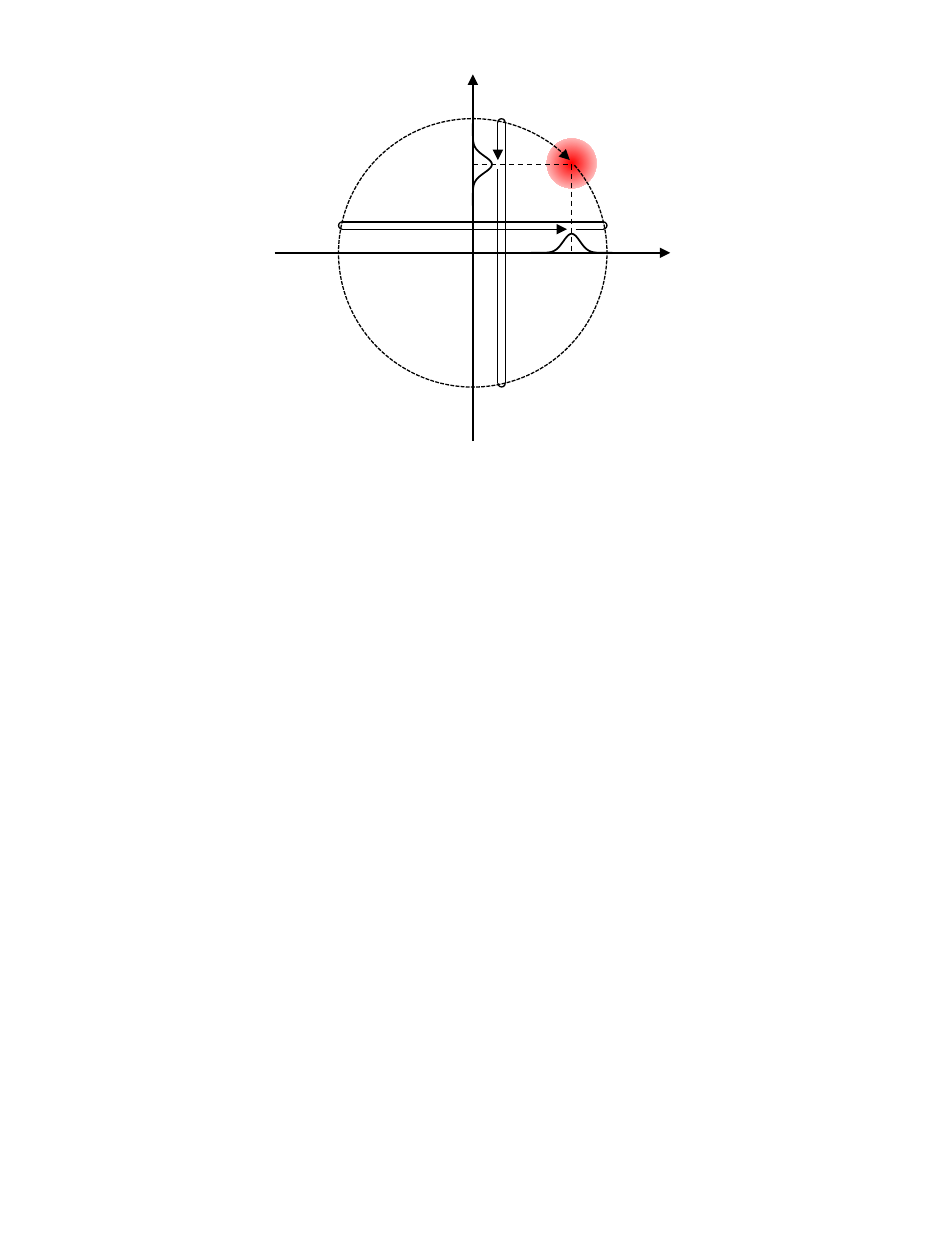
"""Draw a circular orbit with its projections on two axes."""
from math import exp

from lxml.etree import SubElement
from pptx import Presentation
from pptx.dml.color import RGBColor
from pptx.enum.dml import MSO_LINE as DASH
from pptx.enum.shapes import MSO_CONNECTOR as CONN, MSO_SHAPE as SHAPE
from pptx.oxml.ns import qn
from pptx.util import Pt

RGB = RGBColor.from_string
CX, CY, R = 270.2, 144.5, 76.7
SPOT_X, SPOT_Y = 326.7, 94.0
CAP = 4.2
TOP, LEFT = 126.8, 284.5
BOTTOM, RIGHT = TOP + CAP, LEFT + CAP
X1, X2 = CX - R + CAP / 2, CX + R - CAP / 2
Y1, Y2 = CY - R + CAP / 2, CY + R - CAP / 2


def outline(sp, arrow=False, **fmt):
    sp.line.fill.solid()
    sp.line.color.rgb = RGB("000000")
    for name, value in {"width": Pt(0.75), **fmt}.items():
        setattr(sp.line, name, value)
    if arrow:
        SubElement(sp.line._get_or_add_ln(), qn("a:tailEnd"), type="triangle")


def line(shapes, x1, y1, x2, y2, arrow=False, **fmt):
    sp = shapes.add_connector(CONN.STRAIGHT, Pt(x1), Pt(y1), Pt(x2), Pt(y2))
    outline(sp, arrow, **fmt)
    SubElement(sp._element.spPr, qn("a:effectLst"))


prs = Presentation()
prs.slide_width, prs.slide_height = Pt(540), Pt(720)
s = prs.slides.add_slide(prs.slide_layouts[6])

line(s.shapes, 157, CY, 383, CY, True, width=Pt(1))
line(s.shapes, CX, 252, CX, 42.5, True, width=Pt(1))

sp = s.shapes.add_shape(SHAPE.OVAL, Pt(SPOT_X - 14.2), Pt(SPOT_Y - 14.2 - 0.6),
                        Pt(28.4), Pt(28.4))
sp.shadow.inherit = False
sp.line.fill.background()
sp.fill.gradient()
for stop, position, colour in zip(sp.fill.gradient_stops, (0, 1), ("FF0000", "FFFFFF")):
    stop.position = position
    stop.color.rgb = RGB(colour)
grad = sp._element.spPr.find(qn("a:gradFill"))
grad.remove(grad.find(qn("a:lin")))
path = SubElement(grad, qn("a:path"), path="circle")
SubElement(path, qn("a:fillToRect"), l="50000", t="50000", r="50000", b="50000")

line(s.shapes, SPOT_X, SPOT_Y, SPOT_X, CY, dash_style=DASH.DASH)
line(s.shapes, CX, SPOT_Y, SPOT_X, SPOT_Y, dash_style=DASH.DASH)

sp = s.shapes.add_shape(SHAPE.ARC, Pt(CX - R), Pt(CY - R), Pt(2 * R), Pt(2 * R))
sp.shadow.inherit = False
sp.fill.background()
sp.adjustments[0], sp.adjustments[1] = 191.529, 189.765
outline(sp, True, dash_style=DASH.SQUARE_DOT)

bell = [(d / 2, 10.9 * exp(-((d / 2 / 4.75) ** 2) / 2)) for d in range(-47, 48)]
for curve in ([(SPOT_X + d, CY - h) for d, h in bell],
              [(CX + h, SPOT_Y + d) for d, h in bell]):
    points = [(Pt(x), Pt(y)) for x, y in curve]
    fb = s.shapes.build_freeform(*points[0])
    fb.add_line_segments(points[1:], close=False)
    sp = fb.convert_to_shape()
    sp.shadow.inherit = False
    sp.fill.background()
    outline(sp, width=Pt(1))

tracks = [
    ([(329, BOTTOM, X2, BOTTOM, False), (X1, TOP, X2, TOP, False),
      (X1, BOTTOM, 324, BOTTOM, True)],
     [(X2, TOP + CAP / 2, 0, False), (X1, TOP + CAP / 2, 0, True)]),
    ([(LEFT, Y1, LEFT, 91.5, True), (RIGHT, Y2, RIGHT, Y1, False),
      (LEFT, Y2, LEFT, 96.5, False)],
     [(LEFT + CAP / 2, Y1, 90, True), (LEFT + CAP / 2, Y2, 90, False)]),
]
for sides, caps in tracks:
    g = s.shapes.add_group_shape()
    for side in sides:
        line(g.shapes, *side)
    for x, y, rotation, flip in caps:
        sp = g.shapes.add_shape(SHAPE.ARC, Pt(x - CAP / 2), Pt(y - CAP / 2), Pt(CAP), Pt(CAP))
        sp.shadow.inherit = False
        sp.fill.background()
        sp.rotation = rotation
        sp.adjustments[0], sp.adjustments[1] = 162, 55.5
        if flip:
            sp._element.spPr.xfrm.set("flipH", "1")
        outline(sp)

prs.save("out.pptx")
